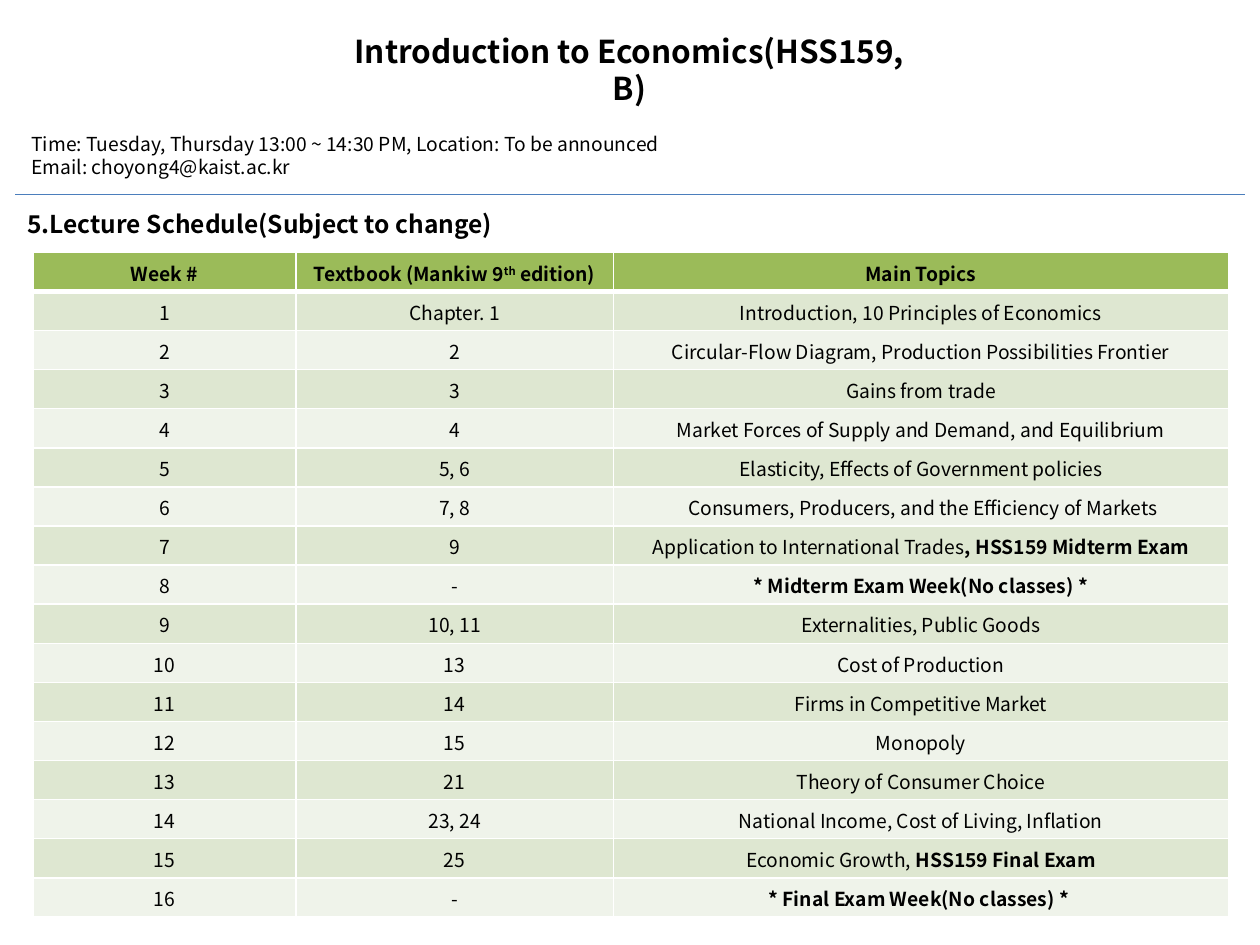
"""Build the lecture schedule slide of an introductory economics course."""
from dataclasses import dataclass

from lxml import etree
from pptx import Presentation
from pptx.dml.color import RGBColor
from pptx.enum import shapes, text
from pptx.oxml import ns
from pptx.util import Pt


@dataclass
class Theme:
    font: str = "Noto Sans CJK KR"
    ink: str = "000000"
    rule: str = "4B7EBC"
    head: str = "9BBB59"
    odd: str = "DEE7D1"
    even: str = "EFF3EA"
    edge: str = "FFFFFF"
    title: int = 18
    section: int = 14
    body: int = 11


theme = Theme()


def write(para, words, size, bold=False, raised=False):
    run = para.add_run()
    run.text = words
    run.font.name = theme.font
    run.font.size = Pt(size)
    run.font.bold = bold
    run.font.color.rgb = RGBColor.from_string(theme.ink)
    if raised:
        run.font._element.set("baseline", "30000")


def border(cell, sides):
    props = cell._tc.get_or_add_tcPr()
    for at, (side, width) in enumerate(sides.items()):
        line = etree.Element(ns.qn(f"a:ln{side}"), w=str(Pt(width)))
        fill = etree.SubElement(line, ns.qn("a:solidFill"))
        etree.SubElement(fill, ns.qn("a:srgbClr"), val=theme.edge)
        props.insert(at, line)


deck = Presentation()
deck.slide_width, deck.slide_height = Pt(720), Pt(540)
slide = deck.slides.add_slide(deck.slide_layouts[5])

title = slide.shapes.title
title.left, title.top, title.width, title.height = Pt(186.5), Pt(14.4), Pt(346.3), Pt(28.8)
frame = title.text_frame
frame.word_wrap = True
frame.auto_size = text.MSO_AUTO_SIZE.NONE
frame.vertical_anchor = text.MSO_ANCHOR.TOP
frame.paragraphs[0].alignment = text.PP_ALIGN.CENTER
write(frame.paragraphs[0], "Introduction to Economics(HSS159, B)", theme.title, True)

rule = slide.shapes.add_connector(shapes.MSO_CONNECTOR.STRAIGHT, Pt(8.64), Pt(111.3), Pt(711.36), Pt(111.3))
rule.line.color.rgb = RGBColor.from_string(theme.rule)
rule.line.width = Pt(0.75)
etree.SubElement(rule._element.spPr, ns.qn("a:effectLst"))

notes = [
    (8.64, 115.9, 702.7, 24.5, theme.section, True, ["5.Lecture Schedule(Subject to change)"]),
    (10.8, 72, 375.8, 33.8, theme.body, False, [
        "Time: Tuesday, Thursday 13:00 ~ 14:30 PM, Location: To be announced",
        "Email: choyong4@kaist.ac.kr",
    ]),
]
for left, top, width, height, size, bold, lines in notes:
    frame = slide.shapes.add_textbox(Pt(left), Pt(top), Pt(width), Pt(height)).text_frame
    frame.word_wrap = True
    for i, line in enumerate(lines):
        para = frame.add_paragraph() if i else frame.paragraphs[0]
        write(para, line, size, bold)

weeks = [
    ("Chapter. 1", "Introduction, 10 Principles of Economics", ""),
    ("2", "Circular-Flow Diagram, Production Possibilities Frontier", ""),
    ("3", "Gains from trade", ""),
    ("4", "Market Forces of Supply and Demand, and Equilibrium", ""),
    ("5, 6", "Elasticity, Effects of Government policies", ""),
    ("7, 8", " Consumers, Producers, and the Efficiency of Markets", ""),
    ("9", "Application to International Trades", ", HSS159 Midterm Exam"),
    ("-", "", "* Midterm Exam Week(No classes) *"),
    ("10, 11", "Externalities, Public Goods", ""),
    ("13", "Cost of Production", ""),
    ("14", "Firms in Competitive Market", ""),
    ("15", "Monopoly", ""),
    ("21", "Theory of Consumer Choice", ""),
    ("23, 24", "National Income, Cost of Living, Inflation", ""),
    ("25", "Economic Growth, ", "HSS159 Final Exam"),
    ("-", "", "* Final Exam Week(No classes) * "),
]
rows = [[
    [("Week #", True)],
    [("Textbook (Mankiw 9", True), ("th", True, True), (" edition)", True)],
    [("Main Topics", True)],
]]
for week, (pages, topic, exam) in enumerate(weeks, 1):
    rows.append([[(str(week), False)], [(pages, False)], [(topic, False), (exam, True)]])

widths = [150.2, 181.4, 351.7]
high = 22.36
table = slide.shapes.add_table(
    len(rows), len(widths), Pt(18.9), Pt(144.2), Pt(sum(widths)), Pt(high * len(rows))
).table
for column, width in zip(table.columns, widths):
    column.width = Pt(width)
for r, row in enumerate(rows):
    table.rows[r].height = Pt(high)
    shade = theme.odd if r % 2 else theme.even
    sides = {"L": 1, "R": 1, "T": 3 if r == 1 else 1, "B": 1 if r else 3}
    for c, runs in enumerate(row):
        cell = table.cell(r, c)
        cell.fill.solid()
        cell.fill.fore_color.rgb = RGBColor.from_string(shade if r else theme.head)
        cell.vertical_anchor = text.MSO_ANCHOR.MIDDLE
        border(cell, sides)
        para = cell.text_frame.paragraphs[0]
        para.alignment = text.PP_ALIGN.CENTER
        for words, *style in runs:
            if words:
                write(para, words, theme.body, *style)

deck.save("out.pptx")
